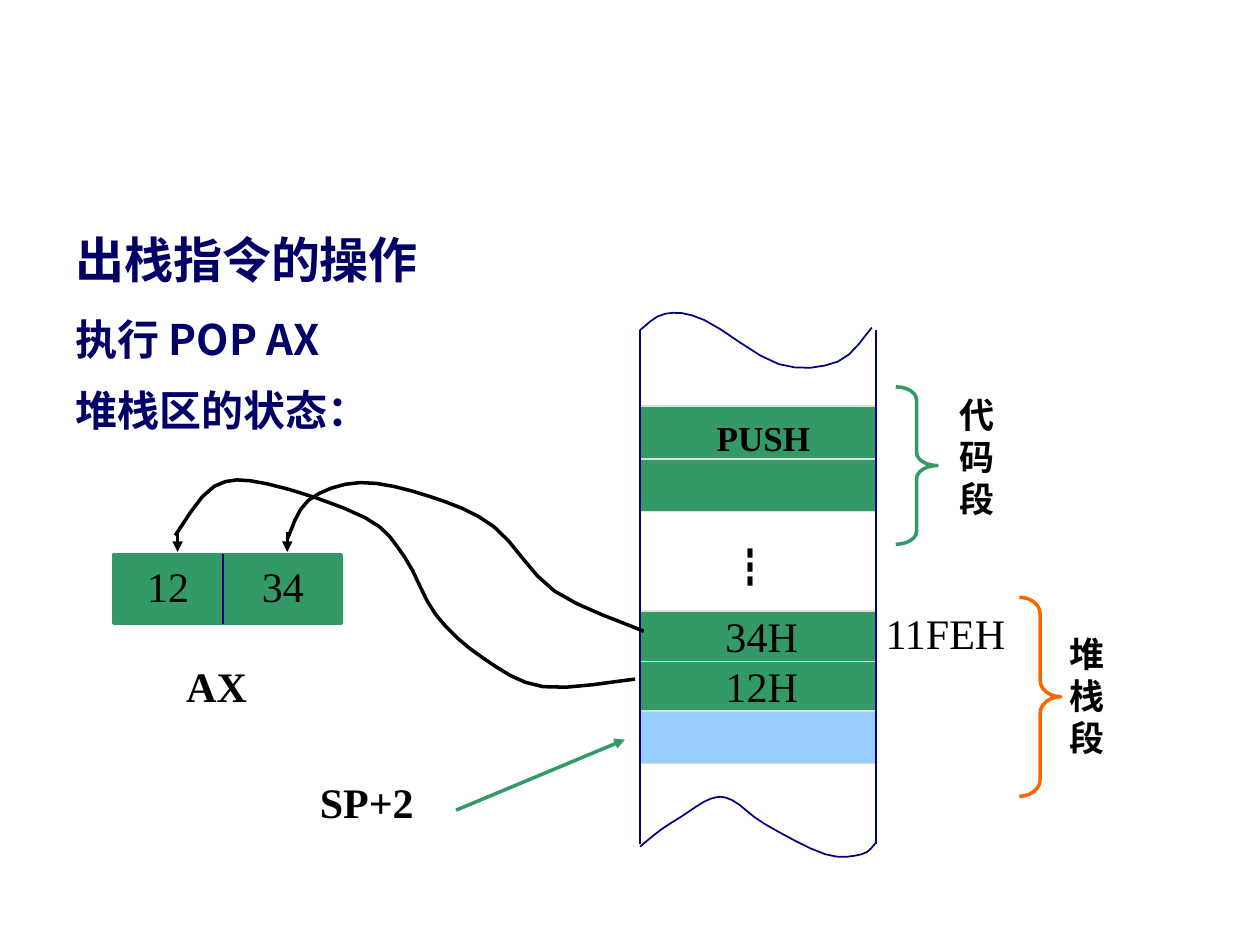
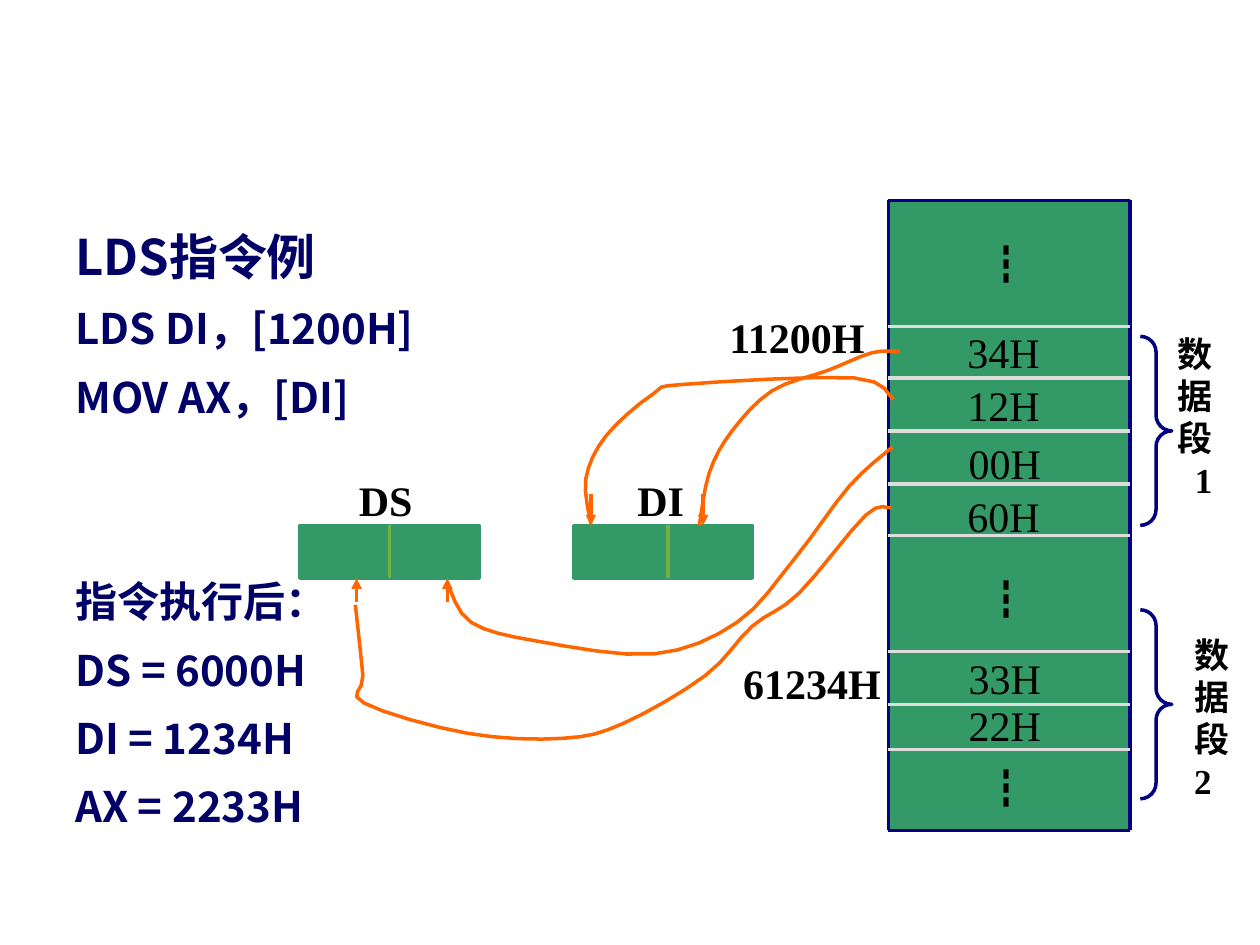
"""Build two slides on stack POP and LDS instruction operation."""
from lxml import etree
from pptx import Presentation
from pptx import util as u
from pptx.dml.color import RGBColor
from pptx.enum import shapes, text
from pptx.oxml.ns import qn

PX = 9144
NAVY, GREEN, ORANGE, GREY = "000080", "339966", "FF6600", "DDDDDD"
BLACK, SKY, TITLE, LIME = "000000", "99CCFF", "000066", "72B143"
SANS, SERIF = "Noto Sans CJK SC", "Times New Roman"


def paint(sp, line, width, fill=None):
    """Set line and fill, and drop the shadow."""
    sp.line.color.rgb = RGBColor.from_string(line)
    sp.line.width = u.Pt(width)
    if hasattr(sp, "fill"):
        sp.shadow.inherit = False
        if fill:
            sp.fill.solid()
            sp.fill.fore_color.rgb = RGBColor.from_string(fill)
        else:
            sp.fill.background()
    else:
        etree.SubElement(sp._element.spPr, qn("a:effectLst"))


def write(s, box, paras, pitch, font, color, bold, align=text.PP_ALIGN.LEFT):
    """Add a text box of (text, size, space before) paragraphs."""
    tf = s.shapes.add_textbox(*[n * PX for n in box]).text_frame
    tf.word_wrap = True
    for i, (words, size, before) in enumerate(paras):
        p = tf.add_paragraph() if i else tf.paragraphs[0]
        p.alignment = align
        p.line_spacing = u.Pt(pitch)
        if before:
            p.space_before = u.Pt(before)
        r = p.add_run()
        r.text = words
        r.font.size = u.Pt(size)
        r.font.name = font
        r.font.bold = bold
        r.font.color.rgb = RGBColor.from_string(color)
        etree.SubElement(r._r.rPr, qn("a:ea"), typeface=SANS)


pop = {
    "pitch": 41,
    "body": [("出栈指令的操作", 28, 0), ("执行 POP AX", 24, 2), ("堆栈区的状态：", 24, 0)],
    "rects": [(508, y, 187, 42, GREEN, GREY, 1) for y in (485, 322, 364, 525)]
    + [(508, 564, 187, 42, SKY, GREY, 1), (90, 440, 181, 55, GREEN, GREEN, 2)],
    "lines": [(x, 262, x, 670, NAVY, 1) for x in (508, 695)] + [(177, 440, 177, 495, NAVY, 1)],
    "arrows": [(x, 422, x, 438, BLACK) for x in (228, 141)] + [(362, 643, 496, 587, GREEN)],
    "curves": [
        (NAVY, 1, [(508, 672), (524, 659), (541, 648), (564, 634), (581, 635), (607, 654),
                   (655, 678), (684, 678), (695, 669)]),
        (NAVY, 1, [(508, 262), (528, 249), (559, 254), (618, 289), (665, 287), (692, 260)]),
        (BLACK, 2, [(139, 425), (170, 386), (212, 384), (290, 411), (321, 442), (346, 488),
                    (383, 522), (431, 545), (504, 539)]),
        (BLACK, 2, [(228, 428), (245, 397), (286, 383), (341, 394), (392, 418), (440, 469),
                    (511, 501)]),
    ],
    "braces": [(809, 474, 33, 158, 0.396, ORANGE), (711, 307, 33, 125, 0.312, GREEN)],
    "dots": [(569, 425)],
    "plain": [("12H", 566, 519), ("34H", 566, 480), ("11FEH", 693, 477),
              ("12", 107, 440), ("34", 198, 440)],
    "bold": [("AX", 138, 519), ("SP+2", 244, 611)],
    "small": [("PUSH", 559, 326, 114, 43), ("堆栈段", 839, 497, 50, 110),
              ("代码段", 752, 307, 50, 110)],
}

lds = {
    "pitch": 39,
    "body": [("LDS指令例", 28, 0), ("LDS DI，[1200H]", 24, 0), ("MOV AX，[DI]", 24, 0),
             ("指令执行后：", 24, 78), ("DS = 6000H", 24, 0), ("DI = 1234H", 24, 0),
             ("AX = 2233H", 24, 0)],
    "rects": [(705, 159, 192, 500, GREEN, GREY, 2)]
    + [(x, 417, 142, 42, GREEN, GREEN, 2) for x in (238, 455)],
    "lines": [(x, 159, x, 659, NAVY, 2) for x in (705, 897)]
    + [(705, y, 897, y, NAVY, 2) for y in (159, 659)]
    + [(705, y, 897, y, GREY, 2) for y in [259 + 125 * i // 3 for i in range(5)] + [517, 559, 595]]
    + [(x, 417, x, 459, LIME, 2) for x in (309, 530)],
    "arrows": [(x, 478, x, 459, ORANGE) for x in (355, 283)]
    + [(x, 392, x, 417, ORANGE) for x in (469, 558)],
    "curves": [
        (ORANGE, 2, [(708, 355), (674, 386), (631, 443), (585, 494), (519, 519), (427, 509),
                     (374, 494), (355, 463)]),
        (ORANGE, 2, [(709, 317), (678, 300), (544, 305), (518, 313), (481, 346), (465, 380),
                     (469, 416)]),
        (ORANGE, 2, [(714, 279), (692, 280), (657, 294), (613, 310), (581, 342), (563, 375),
                     (555, 417)]),
        (ORANGE, 2, [(707, 403), (687, 409), (634, 471), (597, 497), (560, 536), (495, 574),
                     (447, 586), (371, 582), (289, 558), (288, 536), (282, 480)]),
    ],
    "braces": [(905, y, 25, 150, 0.5, NAVY) for y in (267, 484)],
    "dots": [(772, y) for y in (184, 450, 600)],
    "plain": [("34H", 758, 254), ("12H", 758, 296), ("00H", 759, 342),
              ("60H", 758, 384), ("33H", 759, 513), ("22H", 759, 550)],
    "bold": [("11200H", 569, 242), ("61234H", 580, 517), ("DS", 275, 372), ("DI", 496, 372)],
    "small": [("数据段 1", 922, 259, 50, 143), ("数据段2", 938, 498, 50, 143)],
}

prs = Presentation()
prs.slide_width, prs.slide_height = 1000 * PX, 750 * PX

for page in (pop, lds):
    s = prs.slides.add_slide(prs.slide_layouts[6])
    write(s, (50, 167, 917, 525), page["body"], page["pitch"], SANS, TITLE, True)

    for *box, fill, line, width in page["rects"]:
        sp = s.shapes.add_shape(shapes.MSO_SHAPE.RECTANGLE, *[n * PX for n in box])
        paint(sp, line, width, fill)

    for *ends, color, width in page["lines"] + [(*arrow, 2) for arrow in page["arrows"]]:
        sp = s.shapes.add_connector(shapes.MSO_CONNECTOR.STRAIGHT, *[n * PX for n in ends])
        paint(sp, color, width)
        if (*ends, color) in page["arrows"]:
            etree.SubElement(sp._element.spPr.find(qn("a:ln")), qn("a:tailEnd"), type="triangle")

    for color, width, pts in page["curves"]:
        smooth = []
        for a, b, c, d in zip(pts[:1] + pts, pts, pts[1:], pts[2:] + pts[-1:]):
            for t in (0.25, 0.5, 0.75, 1):
                smooth.append([PX * (q + (r - p) * t / 2 + (2 * p - 5 * q + 4 * r - v) * t ** 2 / 2
                                     + (3 * q - p - 3 * r + v) * t ** 3 / 2)
                               for p, q, r, v in zip(a, b, c, d)])
        fb = s.shapes.build_freeform(pts[0][0] * PX, pts[0][1] * PX)
        fb.add_line_segments(smooth, close=False)
        paint(fb.convert_to_shape(), color, width)

    for *box, bend, color in page["braces"]:
        sp = s.shapes.add_shape(shapes.MSO_SHAPE.RIGHT_BRACE, *[n * PX for n in box])
        sp.adjustments[0] = bend
        paint(sp, color, 2)

    for x, y in page["dots"]:
        write(s, (x, y, 67, 50), [("┇", 24, 0)], 28.8, SANS, BLACK, False)
    for kind in ("plain", "bold"):
        for words, x, y in page[kind]:
            box = (x, y, 30 + 20 * len(words), 50)
            write(s, box, [(words, 24, 0)], 28.8, SERIF, BLACK, kind == "bold")
    for words, *box in page["small"]:
        align = text.PP_ALIGN.RIGHT if " " in words else text.PP_ALIGN.LEFT
        write(s, box, [(words, 20, 0)], 24, SERIF, BLACK, True, align)

prs.save("out.pptx")
